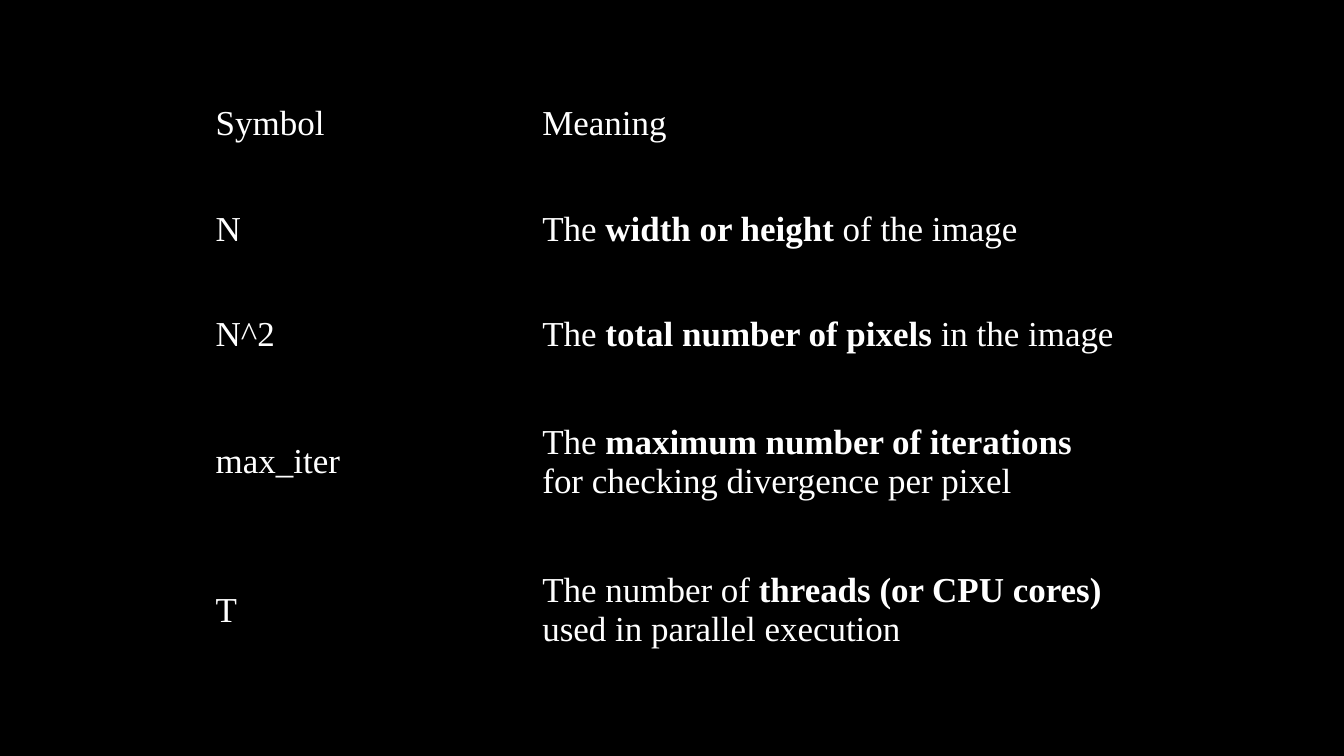
"""Build a slide with a table of symbols and their meanings."""
from dataclasses import dataclass

from lxml.etree import SubElement
from pptx import Presentation
from pptx.dml.color import RGBColor
from pptx.enum.text import MSO_ANCHOR
from pptx.oxml.ns import qn
from pptx.table import _Cell
from pptx.util import Inches, Pt

COLORS = {"background": "000000", "text": "FFFFFF"}
FONT = "Times New Roman"
SLIDE_W, SLIDE_H = 13.33, 7.5
LEFT, TOP = 1.85 / SLIDE_W, 0.7 / SLIDE_H
COLUMNS = (3.24 / SLIDE_W, 6.29 / SLIDE_W)
ONE_LINE, TWO_LINES = 1.05 / SLIDE_H, 1.47 / SLIDE_H
INSET = 0.29


@dataclass(frozen=True)
class Entry:
    symbol: str
    before: str
    key: str = ""
    after: str = ""
    height: float = ONE_LINE


ENTRIES = (
    Entry("Symbol", "Meaning"),
    Entry("N", "The ", "width or height", " of the image"),
    Entry("N^2", "The ", "total number of pixels", " in the image"),
    Entry("max_iter", "The ", "maximum number of iterations",
          " for checking divergence per pixel", TWO_LINES),
    Entry("T", "The number of ", "threads (or CPU cores)",
          " used in parallel execution", TWO_LINES),
)


def across(share: float) -> int:
    return Inches(share * SLIDE_W)


def down(share: float) -> int:
    return Inches(share * SLIDE_H)


def add_text(cell: _Cell, text: str, *, size: float = 25, bold: bool = False,
             color: str = "text") -> None:
    r = cell.text_frame.paragraphs[0].add_run()
    r.text = text
    r.font.name, r.font.size, r.font.bold = FONT, Pt(size), bold
    r.font.color.rgb = RGBColor.from_string(COLORS[color])


def style_cell(cell: _Cell) -> None:
    cell.vertical_anchor = MSO_ANCHOR.MIDDLE
    cell.margin_left = cell.margin_right = Inches(INSET)
    cell.margin_top = cell.margin_bottom = Inches(INSET)
    props = cell._tc.get_or_add_tcPr()
    for side in ("a:lnL", "a:lnR", "a:lnT", "a:lnB"):
        SubElement(SubElement(props, qn(side)), qn("a:noFill"))
    cell.fill.background()


def main() -> None:
    prs = Presentation()
    prs.slide_width, prs.slide_height = Inches(SLIDE_W), Inches(SLIDE_H)
    s = prs.slides.add_slide(prs.slide_layouts[6])
    s.background.fill.solid()
    s.background.fill.fore_color.rgb = RGBColor.from_string(COLORS["background"])

    table = s.shapes.add_table(
        len(ENTRIES), len(COLUMNS), across(LEFT), down(TOP),
        across(sum(COLUMNS)), down(sum(e.height for e in ENTRIES))).table
    table.first_row = table.horz_banding = False
    for column, width in zip(table.columns, COLUMNS):
        column.width = across(width)
    for row, entry in zip(table.rows, ENTRIES):
        row.height = down(entry.height)
        symbol, meaning = row.cells
        style_cell(symbol)
        style_cell(meaning)
        add_text(symbol, entry.symbol)
        add_text(meaning, entry.before)
        if entry.key:
            add_text(meaning, entry.key, bold=True)
            add_text(meaning, entry.after)
    prs.save("out.pptx")


if __name__ == "__main__":
    main()
